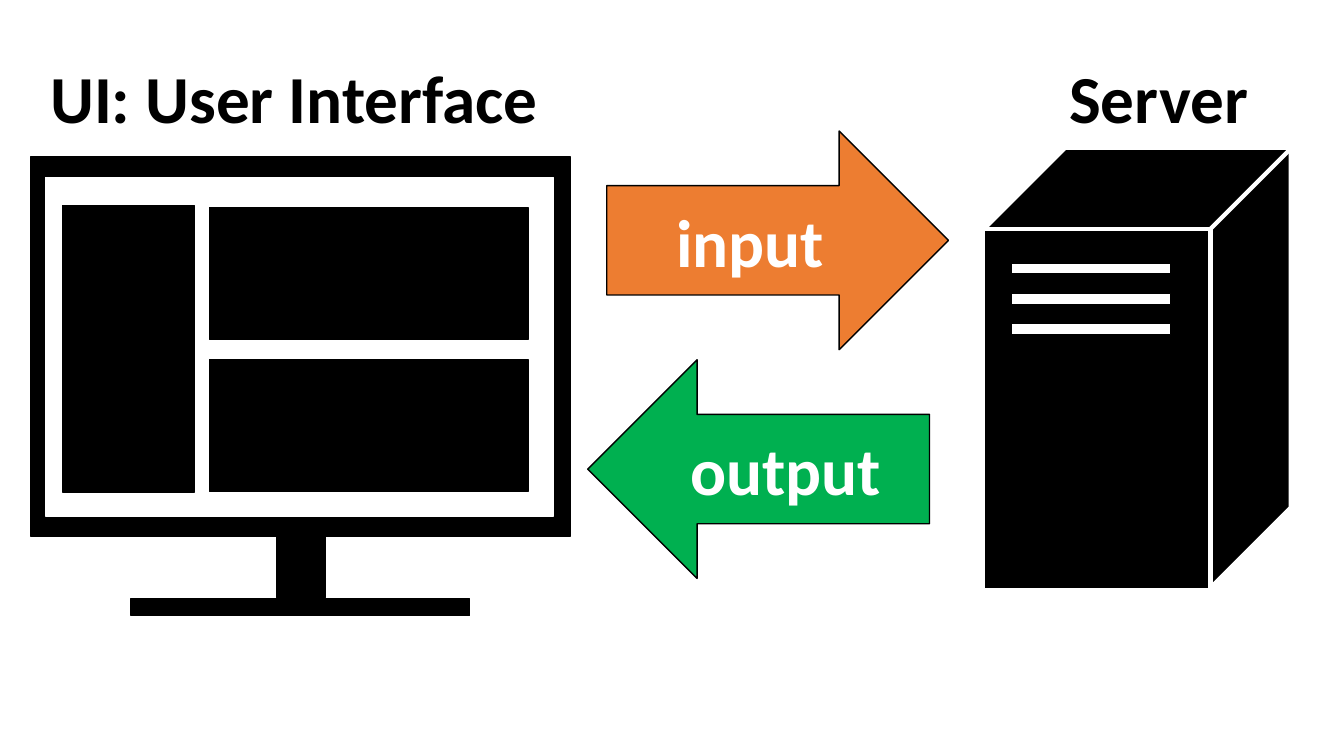
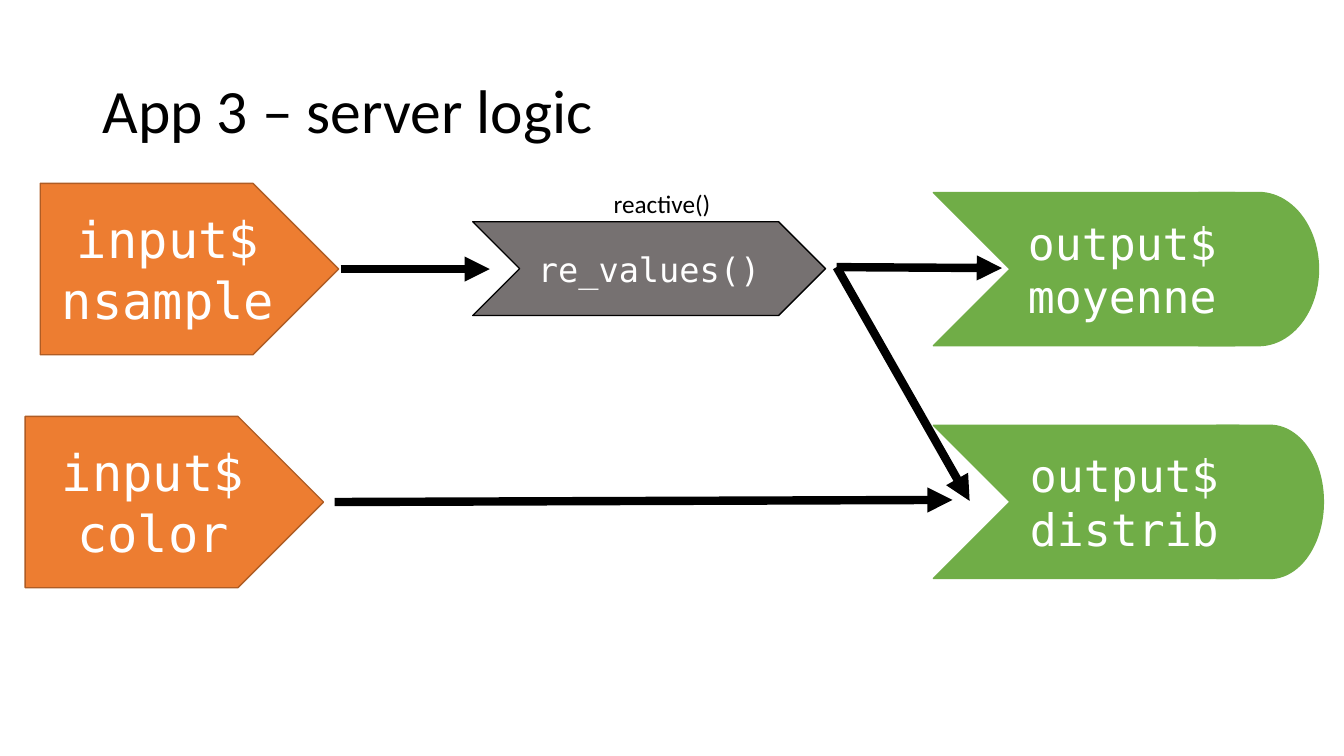
from lxml.etree import SubElement
from pptx import Presentation
from pptx.dml.color import RGBColor
from pptx.enum.shapes import MSO_CONNECTOR, MSO_SHAPE as SHAPE
from pptx.enum.text import MSO_ANCHOR as ANCHOR, MSO_AUTO_SIZE, PP_ALIGN as ALIGN
from pptx.oxml.ns import qn
from pptx.util import Pt

BLACK = RGBColor(0x00, 0x00, 0x00)
WHITE = RGBColor(0xFF, 0xFF, 0xFF)
ORANGE = RGBColor(0xED, 0x7D, 0x31)
RUST = RGBColor(0xAF, 0x5C, 0x24)
EMERALD = RGBColor(0x00, 0xB0, 0x50)
GREEN = RGBColor(0x70, 0xAD, 0x47)
GREY = RGBColor(0x76, 0x71, 0x71)
SANS = "Calibri"
MONO = "DejaVu Sans Mono"


def add_block(slide, kind, box, fill, outline, weight=1):
    block = slide.shapes.add_shape(kind, *map(Pt, box))
    block.shadow.inherit = False
    block.fill.solid()
    block.fill.fore_color.rgb = fill
    block.line.color.rgb = outline
    block.line.width = Pt(weight)
    return block


def write(frame, lines, size, font=SANS, colour=WHITE, bold=False,
          align=ALIGN.CENTER, anchor=ANCHOR.MIDDLE):
    frame.vertical_anchor = anchor
    for index, line in enumerate(lines):
        paragraph = frame.add_paragraph() if index else frame.paragraphs[0]
        paragraph.alignment = align
        run = paragraph.add_run()
        run.text = line
        run.font.name = font
        run.font.size = Pt(size)
        run.font.bold = bold
        run.font.color.rgb = colour


deck = Presentation()
deck.slide_width, deck.slide_height = Pt(960), Pt(540)
overview = deck.slides.add_slide(deck.slide_layouts[6])
logic = deck.slides.add_slide(deck.slide_layouts[5])

# Overview: monitor, server and the exchange between them
monitor = [
    ((21.6, 112.3, 385.9, 270.7), BLACK),
    ((197.3, 383, 35.3, 43.9), BLACK),
    ((93.6, 427.7, 241.9, 12.2), BLACK),
    ((32.4, 126.7, 362.9, 241.9), WHITE),
    ((44.6, 146.9, 94.3, 204.5), BLACK),
    ((149.8, 257, 227.5, 94.3), BLACK),
    ((149.8, 148.3, 227.5, 94.3), BLACK),
]
for box, colour in monitor:
    add_block(overview, SHAPE.RECTANGLE, box, colour, colour)

tower = add_block(overview, SHAPE.SNIP_2_DIAG_RECTANGLE,
                  (654.5, 153.4, 315.4, 219.6), BLACK, WHITE, 3)
tower.rotation = 90
tower.adjustments[0] = 0
tower.adjustments[1] = 0.266
add_block(overview, SHAPE.RECTANGLE, (702, 163.4, 162.7, 257.8), BLACK, WHITE, 3)
for row in range(3):
    add_block(overview, SHAPE.RECTANGLE, (722.2, 187.9 + 21.6 * row, 113.8, 7.9),
              WHITE, BLACK)

for kind, left, top, colour, word in [
    (SHAPE.RIGHT_ARROW, 433.4, 93.6, ORANGE, "input"),
    (SHAPE.LEFT_ARROW, 419.8, 257, EMERALD, "output"),
]:
    flow = add_block(overview, kind, (left, top, 244.1, 156.2), colour, BLACK)
    write(flow.text_frame, [word], 48, bold=True)

# Logic: inputs, reactive step and outputs
title = logic.shapes.title
title.left, title.top, title.width, title.height = map(Pt, (66.2, 28.8, 828, 104.4))
write(title.text_frame, ["App 3 – server logic"], 44, colour=BLACK, align=ALIGN.LEFT)
title.text_frame.paragraphs[0].line_spacing = 0.9

for left, top, name in [(28.8, 131, "nsample"), (18, 297.4, "color")]:
    source = add_block(logic, SHAPE.PENTAGON, (left, top, 213.1, 122.4), ORANGE, RUST)
    write(source.text_frame, ["input$", name], 36, MONO)

for top, width, cap_left, cap_width, name in [
    (137.5, 270, 856.1, 85.7, "moyenne"),
    (303.8, 272.9, 869, 76.3, "distrib"),
]:
    add_block(logic, SHAPE.FLOWCHART_DELAY, (cap_left, top, cap_width, 109.4), GREEN, GREEN)
    result = add_block(logic, SHAPE.CHEVRON, (666.7, top, width, 109.4), GREEN, GREEN)
    write(result.text_frame, ["output$", name], 32, MONO)

reactive = add_block(logic, SHAPE.CHEVRON, (337.7, 158.4, 252, 67), GREY, BLACK)
write(reactive.text_frame, ["re_values()"], 24, MONO)

for slide, box, caption, size, bold in [
    (overview, (28.8, 36.7, 366.5, 65.5), "UI: User Interface", 48, True),
    (overview, (756.7, 36.7, 144, 65.5), "Server", 48, True),
    (logic, (431.3, 131, 84.2, 28.8), "reactive()", 18, False),
]:
    frame = slide.shapes.add_textbox(*map(Pt, box)).text_frame
    frame.word_wrap = False
    frame.auto_size = MSO_AUTO_SIZE.SHAPE_TO_FIT_TEXT
    write(frame, [caption], size, colour=BLACK, bold=bold,
          align=ALIGN.LEFT, anchor=ANCHOR.TOP)

for slide, ends, colour, weight, arrowhead in [
    (overview, (864.7, 163.4, 922.3, 105.8), WHITE, 3, False),
    (logic, (243.4, 192.2, 349.9, 192.2), BLACK, 6, True),
    (logic, (597.6, 190.8, 715.7, 191.5), BLACK, 6, True),
    (logic, (239, 358.6, 680.4, 357.1), BLACK, 6, True),
    (logic, (597.6, 190.8, 692.6, 357.8), BLACK, 6, True),
]:
    link = slide.shapes.add_connector(MSO_CONNECTOR.STRAIGHT, *map(Pt, ends))
    link.line.color.rgb = colour
    link.line.width = Pt(weight)
    if arrowhead:
        SubElement(link.line._get_or_add_ln(), qn("a:tailEnd"), type="triangle")
    SubElement(link._element.spPr, qn("a:effectLst"))

deck.save("out.pptx")
